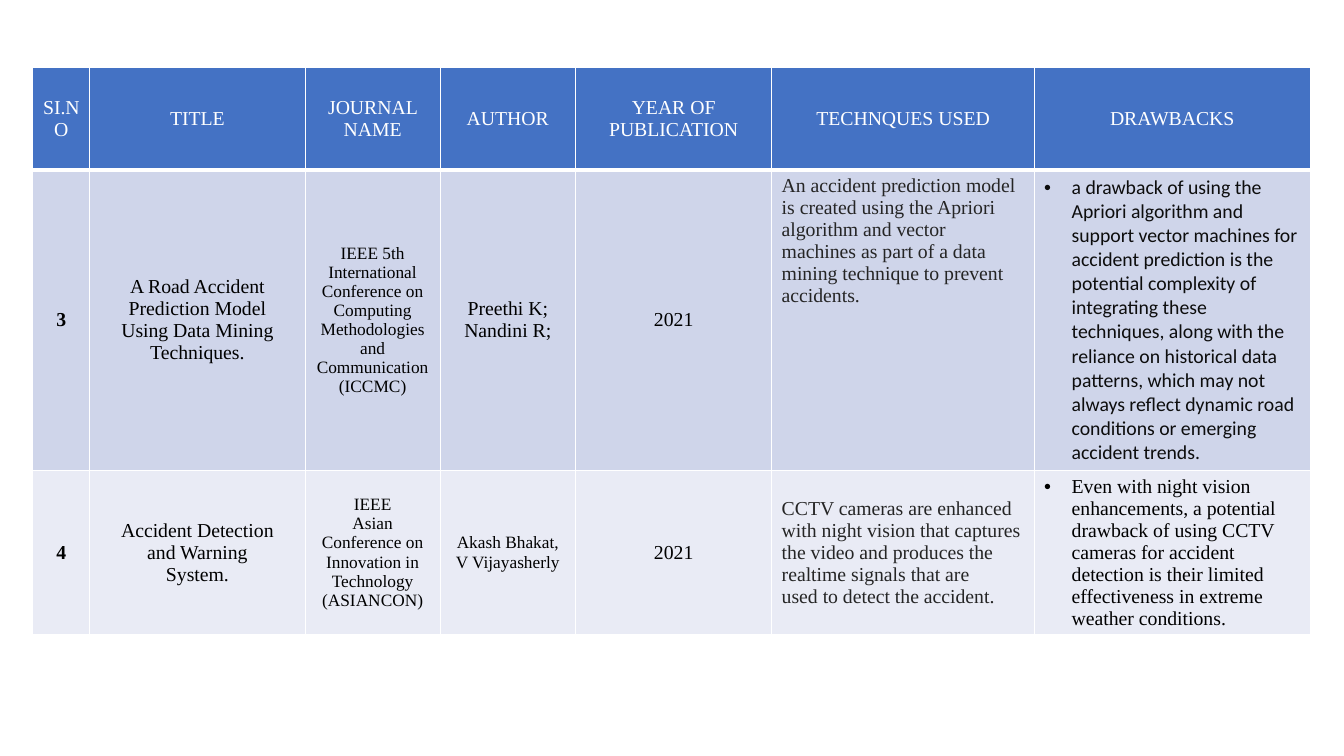
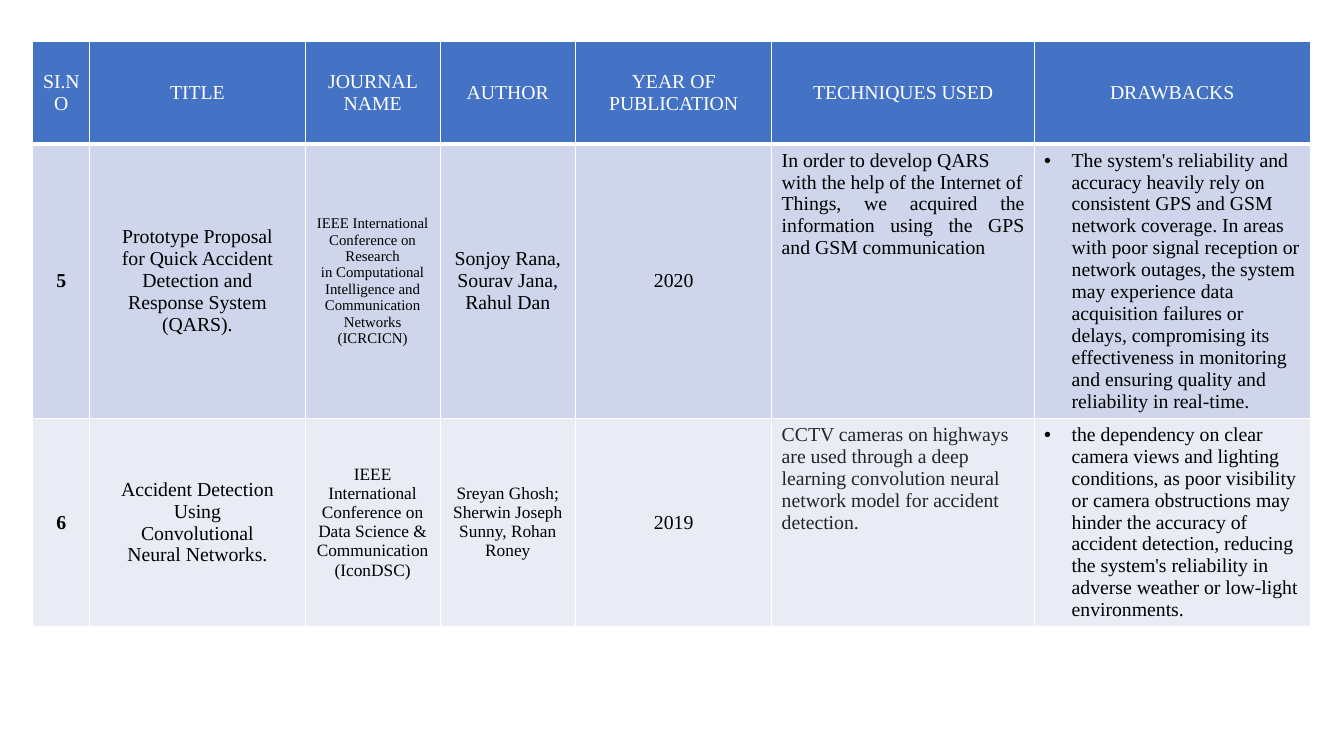
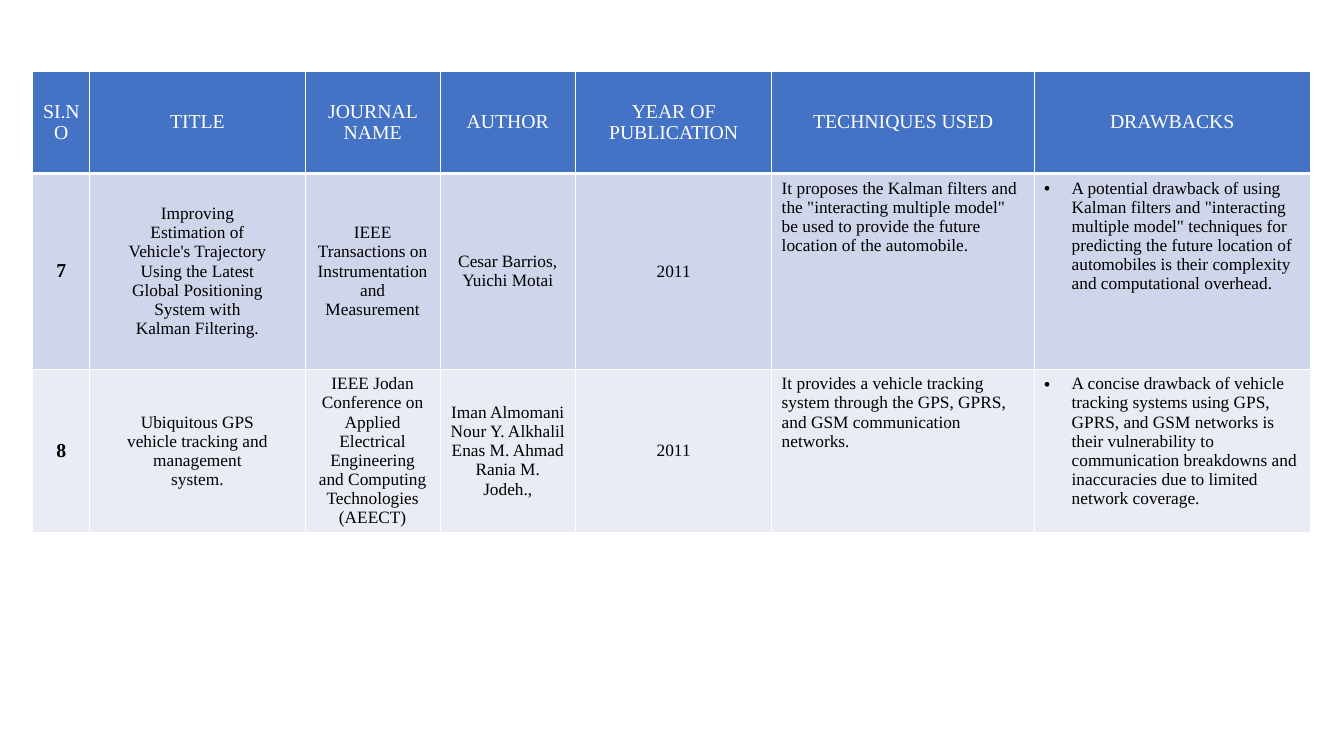
"""Literature survey: three slides, each with a table of two reviewed papers."""
from lxml import etree
from pptx import Presentation
from pptx.dml.color import RGBColor
from pptx.enum.text import MSO_ANCHOR as ANCHOR, PP_ALIGN as ALIGN
from pptx.oxml.ns import qn
from pptx.util import Inches, Pt

WHITE, BLACK = RGBColor(255, 255, 255), RGBColor(0, 0, 0)
DARK, INK = RGBColor(0x25, 0x25, 0x25), RGBColor(0x0D, 0x0D, 0x0D)
BLUE = RGBColor(0x44, 0x72, 0xC4)
BANDS = RGBColor(0xCF, 0xD5, 0xEA), RGBColor(0xE9, 0xEB, 0xF5)
SERIF, SANS = "Times New Roman", "Calibri"

SLIDE_W, SLIDE_H, TABLE_LEFT = 15.11, 8.5, 0.37
COLS = [0.64, 2.42, 1.52, 1.52, 2.21, 2.95, 3.1]
NUMBER, TECHNIQUES, DRAWBACKS = 0, 5, 6
HEADER_H = 1.15
HEADINGS = ["SI.NO", "TITLE", "JOURNAL NAME", "AUTHOR", "YEAR OF PUBLICATION",
            "TECHNIQUES USED", "DRAWBACKS"]
SURVEY = [
    {"top": 0.76, "headings": {TECHNIQUES: "TECHNQUES USED"}, "papers": [
        {"height": 3.37, "sizes": [16, 16, 14, 16, 16, 16, 16],
         "colors": {TECHNIQUES: DARK, DRAWBACKS: INK}, "fonts": {DRAWBACKS: SANS},
         "cells": [
             "3",
             "A Road Accident\nPrediction Model\nUsing Data Mining\nTechniques.",
             "IEEE 5th International Conference on Computing Methodologies and "
             "Communication (ICCMC)",
             "Preethi K; Nandini R;",
             "2021",
             "An accident prediction model is created using the Apriori algorithm and "
             "vector machines as part of a data mining technique to prevent\naccidents.",
             "a drawback of using the Apriori algorithm and support vector machines for "
             "accident prediction is the potential complexity of integrating these "
             "techniques, along with the reliance on historical data patterns, which may "
             "not always reflect dynamic road conditions or emerging accident trends."]},
        {"height": 1.83, "sizes": [16, 16, 14, 14, 16, 16, 16],
         "colors": {TECHNIQUES: DARK}, "middle": [TECHNIQUES],
         "cells": [
             "4",
             "Accident Detection\nand Warning\nSystem.",
             "IEEE\nAsian Conference on Innovation in Technology (ASIANCON)",
             "Akash Bhakat,\nV Vijayasherly",
             "2021",
             "CCTV cameras are enhanced\nwith night vision that captures the video and "
             "produces the realtime signals that are\nused to detect the accident.",
             "Even with night vision enhancements, a potential drawback of using CCTV "
             "cameras for accident detection is their limited effectiveness in extreme "
             "weather conditions."]}]},
    {"top": 0.47, "papers": [
        {"height": 3.08, "sizes": [16, 16, 12, 16, 16, 16, 16],
         "justified": [(TECHNIQUES, 1)],
         "cells": [
             "5",
             "Prototype Proposal\nfor Quick Accident\nDetection and\nResponse System\n(QARS).",
             "IEEE International Conference on Research\nin Computational Intelligence "
             "and Communication Networks (ICRCICN)",
             "Sonjoy Rana,\nSourav Jana, Rahul Dan",
             "2020",
             "In order to develop QARS with the help of the Internet of\nThings, we "
             "acquired the information using the GPS and GSM communication",
             "The system's reliability and accuracy heavily rely on consistent GPS and "
             "GSM network coverage. In areas with poor signal reception or network "
             "outages, the system may experience data acquisition failures or delays, "
             "compromising its effectiveness in monitoring and ensuring quality and "
             "reliability in real-time."]},
        {"height": 2.33, "sizes": [16, 16, 14, 14, 16, 16, 16],
         "colors": {TECHNIQUES: DARK},
         "cells": [
             "6",
             "Accident Detection\nUsing\nConvolutional\nNeural Networks.",
             "IEEE\nInternational Conference on Data Science & Communication (IconDSC)",
             "Sreyan Ghosh; Sherwin Joseph Sunny, Rohan Roney",
             "2019",
             "CCTV cameras on highways\nare used through a deep learning convolution "
             "neural\nnetwork model for accident detection.",
             "the dependency on clear camera views and lighting conditions, as poor "
             "visibility or camera obstructions may hinder the accuracy of accident "
             "detection, reducing the system's reliability in adverse weather or "
             "low-light environments."]}]},
    {"top": 0.8, "papers": [
        {"height": 2.2, "sizes": [16] + [14] * 6,
         "cells": [
             "7",
             "Improving\nEstimation of\nVehicle's Trajectory\nUsing the Latest\n"
             "Global Positioning\nSystem with\nKalman Filtering.",
             "IEEE Transactions on Instrumentation and Measurement",
             "Cesar Barrios, Yuichi Motai",
             "2011",
             "It proposes the Kalman filters and the \"interacting multiple model\" be "
             "used to provide the future location of the automobile.",
             "A potential drawback of using Kalman filters and \"interacting multiple "
             "model\" techniques for predicting the future location of automobiles is "
             "their complexity and computational overhead."]},
        {"height": 1.82, "sizes": [16] + [14] * 6,
         "cells": [
             "8",
             "Ubiquitous GPS\nvehicle tracking and\nmanagement\nsystem.",
             "IEEE Jodan Conference on Applied\nElectrical Engineering\n"
             "and Computing Technologies (AEECT)",
             "Iman Almomani\nNour Y. Alkhalil\nEnas M. Ahmad\nRania M. Jodeh.,",
             "2011",
             "It provides a vehicle tracking system through the GPS, GPRS, and GSM "
             "communication\nnetworks.",
             "A concise drawback of vehicle tracking systems using GPS, GPRS, and GSM "
             "networks is their vulnerability to communication breakdowns and "
             "inaccuracies due to limited network coverage."]}]},
]


def set_borders(cell, top, bottom):
    """Draw white borders, with the given top and bottom widths in points."""
    tc_pr = cell._tc.get_or_add_tcPr()
    widths = {"a:lnL": 1, "a:lnR": 1, "a:lnT": top, "a:lnB": bottom}
    for i, (tag, width) in enumerate(widths.items()):
        ln = etree.Element(qn(tag), w=str(Pt(width)))
        fill = etree.SubElement(ln, qn("a:solidFill"))
        etree.SubElement(fill, qn("a:srgbClr"), val=str(WHITE))
        tc_pr.insert(i, ln)


def add_bullet(p):
    """Give the paragraph a round bullet with a hanging indent."""
    p_pr = p._p.get_or_add_pPr()
    p_pr.set("marL", str(Inches(0.31)))
    p_pr.set("indent", str(-Inches(0.31)))
    etree.SubElement(p_pr, qn("a:buFont"), typeface="Arial")
    etree.SubElement(p_pr, qn("a:buChar"), char="•")


def fill_cell(cell, text, fill, size, color, font=SERIF, bold=False,
              centred=True, middle=True, bullet=False, justified=()):
    """Set the cell's text, fill and formatting."""
    cell.fill.solid()
    cell.fill.fore_color.rgb = fill
    cell.margin_left = cell.margin_right = Inches(0.11)
    cell.margin_top = cell.margin_bottom = Inches(0.06)
    cell.vertical_anchor = ANCHOR.MIDDLE if middle else ANCHOR.TOP
    cell.text_frame.text = text
    for i, p in enumerate(cell.text_frame.paragraphs):
        p.alignment = ALIGN.CENTER if centred else ALIGN.LEFT
        if i in justified:
            p.alignment = ALIGN.JUSTIFY
        if bullet:
            add_bullet(p)
        for r in p.runs:
            r.font.name, r.font.size, r.font.bold = font, Pt(size), bold
            r.font.color.rgb = color


def add_survey_slide(prs, top, papers, headings=None):
    """Add a slide with a heading row and one row for each paper."""
    slide = prs.slides.add_slide(prs.slide_layouts[6])
    heights = [HEADER_H] + [paper["height"] for paper in papers]
    table = slide.shapes.add_table(
        len(heights), len(COLS), Inches(TABLE_LEFT), Inches(top),
        Inches(sum(COLS)), Inches(sum(heights))).table
    for column, width in zip(table.columns, COLS):
        column.width = Inches(width)
    for row, height in zip(table.rows, heights):
        row.height = Inches(height)
    for col, heading in enumerate(HEADINGS):
        cell = table.cell(0, col)
        fill_cell(cell, (headings or {}).get(col, heading), BLUE, 16, WHITE)
        set_borders(cell, 1, 3)
    for row, (paper, band) in enumerate(zip(papers, BANDS), 1):
        for col, text in enumerate(paper["cells"]):
            cell = table.cell(row, col)
            centred = col < TECHNIQUES
            fill_cell(cell, text, band, paper["sizes"][col],
                      paper.get("colors", {}).get(col, BLACK),
                      font=paper.get("fonts", {}).get(col, SERIF),
                      bold=col == NUMBER, centred=centred,
                      middle=centred or col in paper.get("middle", []),
                      bullet=col == DRAWBACKS,
                      justified=[i for c, i in paper.get("justified", []) if c == col])
            set_borders(cell, 3 if row == 1 else 1, 1)


def main():
    """Build and save the presentation."""
    prs = Presentation()
    prs.slide_width, prs.slide_height = Inches(SLIDE_W), Inches(SLIDE_H)
    for page in SURVEY:
        add_survey_slide(prs, **page)
    prs.save("out.pptx")


if __name__ == "__main__":
    main()
